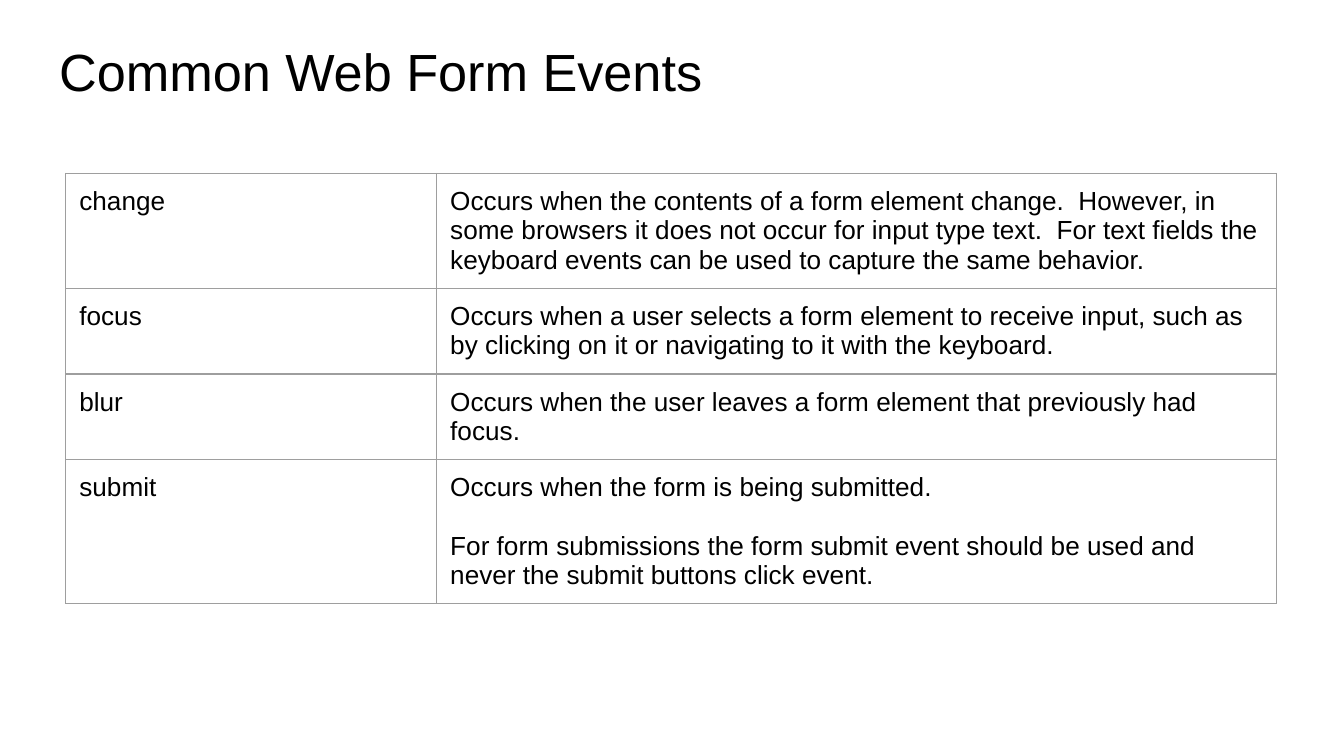
from lxml.etree import SubElement
from pptx import Presentation
from pptx.dml.color import RGBColor
from pptx.enum.text import MSO_ANCHOR, PP_ALIGN
from pptx.oxml.ns import qn
from pptx.util import Inches, Pt

COLORS = {"text": "000000", "border": "9E9E9E"}
SLIDE_WIDTH = Inches(10)
SLIDE_HEIGHT = SLIDE_WIDTH * 9 // 16
INSET = Inches(0.1)
FRAME = {"margin_left": INSET, "margin_right": INSET,
         "margin_top": INSET, "margin_bottom": INSET}
COLUMN_WIDTHS = [2.76, 6.25]
ROW_HEIGHTS = [0.43, 0.43, 0.6, 0.6]
EVENTS = [
    ("change", ["Occurs when the contents of a form element change.  However, in some "
                "browsers it does not occur for input type text.  For text fields the "
                "keyboard events can be used to capture the same behavior."]),
    ("focus", ["Occurs when a user selects a form element to receive input, such as by "
               "clicking on it or navigating to it with the keyboard."]),
    ("blur", ["Occurs when the user leaves a form element that previously had focus."]),
    ("submit", ["Occurs when the form is being submitted.",
                "For form submissions the form submit event should be used and never "
                "the submit buttons click event."]),
]


def apply_format(target, values):
    """Set each named attribute of the target."""
    for name, value in values.items():
        setattr(target, name, value)


def write_text(frame, texts, size):
    """Write one left-aligned paragraph per text, one line apart."""
    for index, text in enumerate(texts):
        paragraph = frame.add_paragraph() if index else frame.paragraphs[0]
        paragraph.alignment = PP_ALIGN.LEFT
        paragraph.space_before = Pt(15.5 if index else 0)
        run = paragraph.add_run()
        run.text = text
        apply_format(run.font, {"name": "Arial", "size": Pt(size), "bold": False})
        run.font.color.rgb = RGBColor.from_string(COLORS["text"])


def add_title(slide, text):
    """Place and fill the title placeholder."""
    title = slide.shapes.title
    apply_format(title, {"left": Inches(0.34), "top": Inches(0.19),
                         "width": Inches(6.61), "height": Inches(0.63)})
    apply_format(title.text_frame, {**FRAME, "word_wrap": True,
                                    "vertical_anchor": MSO_ANCHOR.TOP})
    write_text(title.text_frame, [text], 28)


def add_borders(cell):
    """Draw a thin line on all four sides of a cell."""
    properties = cell._tc.get_or_add_tcPr()
    for index, side in enumerate(("lnL", "lnR", "lnT", "lnB")):
        line = properties.makeelement(qn(f"a:{side}"), {"w": str(Pt(0.75))})
        fill = SubElement(line, qn("a:solidFill"))
        SubElement(fill, qn("a:srgbClr"), val=COLORS["border"])
        properties.insert(index, line)


def fill_cell(cell, texts):
    """Format a cell and write its paragraphs."""
    apply_format(cell, {**FRAME, "vertical_anchor": MSO_ANCHOR.TOP})
    cell.fill.background()
    add_borders(cell)
    write_text(cell.text_frame, texts, 14)


def add_event_table(slide):
    """Add the table of events and their descriptions."""
    table = slide.shapes.add_table(
        len(EVENTS), len(COLUMN_WIDTHS), Inches(0.49), Inches(1.29),
        Inches(sum(COLUMN_WIDTHS)), Inches(sum(ROW_HEIGHTS))).table
    apply_format(table, {"first_row": False, "horz_banding": False})
    for column, width in zip(table.columns, COLUMN_WIDTHS):
        column.width = Inches(width)
    for row, height, (event, description) in zip(table.rows, ROW_HEIGHTS, EVENTS):
        row.height = Inches(height)
        for cell, texts in zip(row.cells, ([event], description)):
            fill_cell(cell, texts)


def main():
    """Build and save the slide."""
    presentation = Presentation()
    apply_format(presentation, {"slide_width": SLIDE_WIDTH, "slide_height": SLIDE_HEIGHT})
    slide = presentation.slides.add_slide(presentation.slide_layouts[5])
    add_title(slide, "Common Web Form Events")
    add_event_table(slide)
    presentation.save("out.pptx")


if __name__ == "__main__":
    main()
